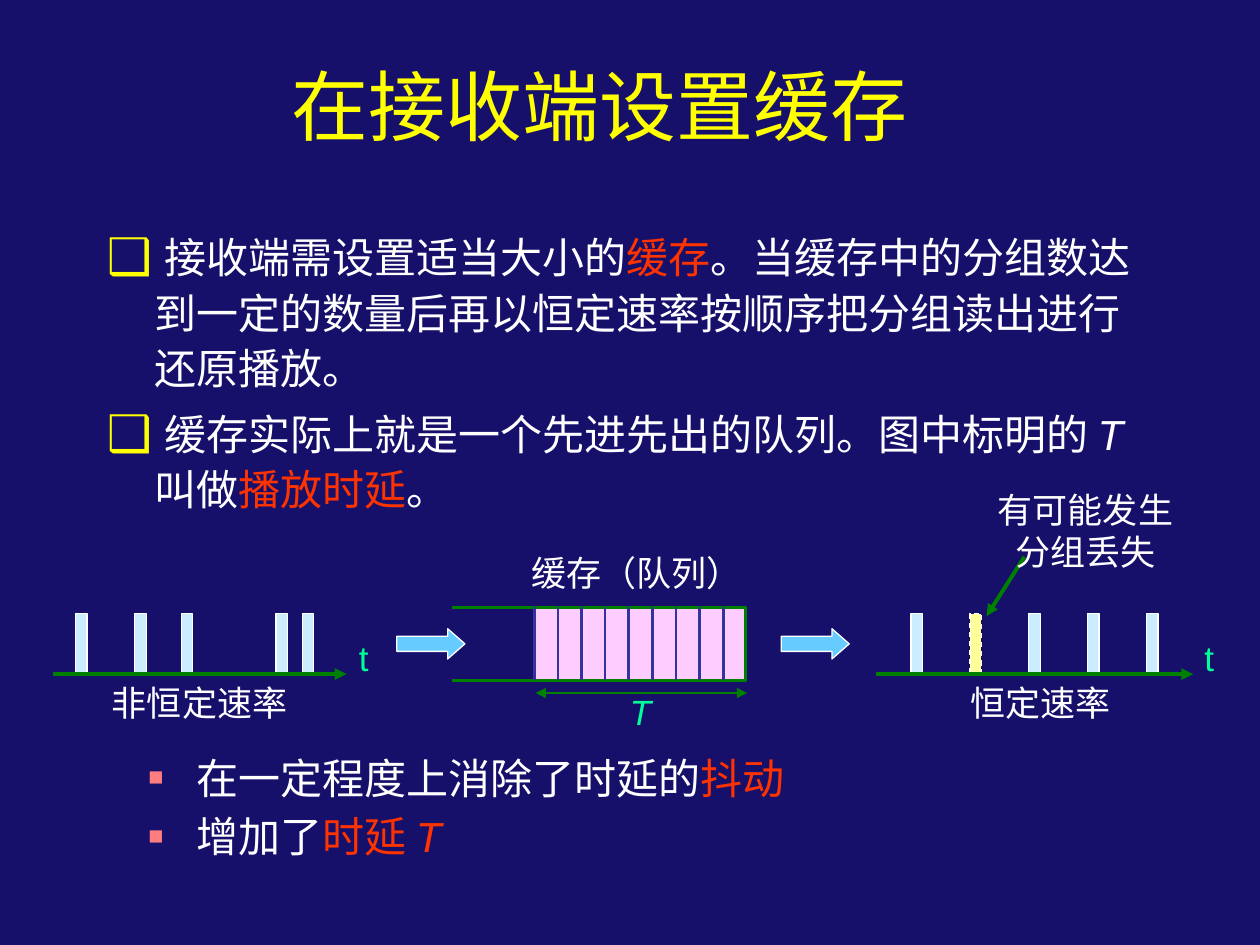
import pptx
import pptx.dml.color
import pptx.enum.dml
import pptx.enum.shapes
import pptx.enum.text
import pptx.oxml.ns
import pptx.util
from lxml import etree
from pptx.util import Inches

rgb = pptx.dml.color.RGBColor.from_string
qn = pptx.oxml.ns.qn
ALIGN = pptx.enum.text.PP_ALIGN
SHAPE = pptx.enum.shapes.MSO_SHAPE
WHITE, RED, GREEN, MINT = "FFFFFF", "FF3300", "008000", "00FF99"
PALE_BLUE, PALE_YELLOW = "CCECFF", "FFFF99"


def write(frame, paragraphs, size, bullet=None, **layout):
    """Fill a text frame; each paragraph is a list of (text, colour, italic)."""
    for index, spans in enumerate(paragraphs):
        para = frame.paragraphs[0] if index == 0 else frame.add_paragraph()
        if bullet:
            char, color, percent = bullet
            props = para._p.get_or_add_pPr()
            props.set("marL", str(Inches(0.38)))
            props.set("indent", str(-Inches(0.38)))
            tint = etree.SubElement(props, qn("a:buClr"))
            etree.SubElement(tint, qn("a:srgbClr"), val=color)
            etree.SubElement(props, qn("a:buSzPct"), val=str(percent * 1000))
            etree.SubElement(props, qn("a:buFont"), typeface="Arial")
            etree.SubElement(props, qn("a:buChar"), char=char)
        for name, value in layout.items():
            if name != "space_before" or index > 0:
                setattr(para, name, value)
        for text, color, italic in spans:
            span = para.add_run()
            span.text = text
            look = {"name": "Arial", "size": pptx.util.Pt(size), "italic": italic}
            for name, value in look.items():
                setattr(span.font, name, value)
            span.font.color.rgb = rgb(color)


def outline(shape, fill, line, width):
    """Give a shape its fill (None for hollow) and line, without a shadow."""
    shape.shadow.inherit = False
    if fill:
        shape.fill.solid()
        shape.fill.fore_color.rgb = rgb(fill)
    else:
        shape.fill.background()
    shape.line.color.rgb = rgb(line)
    shape.line.width = pptx.util.Pt(width)


deck = pptx.Presentation()
deck.slide_width, deck.slide_height = Inches(10), Inches(7.5)
page = deck.slides.add_slide(deck.slide_layouts[5])
page.background.fill.solid()
page.background.fill.fore_color.rgb = rgb("16106B")

# Title
title = page.shapes.title
place = {"left": 0.58, "top": 0.33, "width": 8.5, "height": 1}
for name, value in place.items():
    setattr(title, name, Inches(value))
title.text_frame.vertical_anchor = pptx.enum.text.MSO_ANCHOR.MIDDLE
write(title.text_frame, [[("在接收端设置缓存 ", "FFFF01", False)]], 44,
      alignment=ALIGN.CENTER)

# Bulleted text above and below the diagram
body = page.shapes.add_textbox(Inches(0.75), Inches(1.75), Inches(8.53), Inches(2.57))
body.text_frame.word_wrap = True
write(body.text_frame, [
    [(" 接收端需设置适当大小的", WHITE, False), ("缓存", RED, False),
     ("。当缓存中的分组数达到一定的数量后再以恒定速率按顺序把分组读出进行还原播放。", WHITE, False)],
    [(" 缓存实际上就是一个先进先出的队列。图中标明的 ", WHITE, False),
     ("T ", WHITE, True), ("叫做", WHITE, False),
     ("播放时延", RED, False), ("。", WHITE, False)],
], 24, ("❑", "FFFF00", 120), line_spacing=1.1, space_before=pptx.util.Pt(6))

effects = page.shapes.add_textbox(Inches(1.08), Inches(5.92), Inches(7.75), Inches(0.97))
effects.text_frame.word_wrap = True
write(effects.text_frame, [
    [("在一定程度上消除了时延的", WHITE, False), ("抖动", RED, False)],
    [("增加了", WHITE, False), ("时延 ", RED, False), ("T", RED, True)],
], 24, ("■", "FF7C80", 60), space_before=pptx.util.Pt(4.5))

# Queue of packets and block arrows
queue = page.shapes.add_shape(SHAPE.RECTANGLE, Inches(4.25), Inches(4.83),
                              Inches(1.66), Inches(0.57))
outline(queue, "FFCCFF", GREEN, 0.75)
for left in (3.15, 6.2):
    arrow = page.shapes.add_shape(SHAPE.RIGHT_ARROW, Inches(left), Inches(4.99),
                                  Inches(0.54), Inches(0.24))
    arrow.adjustments[1] = 0.57
    outline(arrow, "66CCFF", WHITE, 0.75)

# Open outlines: buffer, then packets on both time axes
buffer_points = [(3.59, 4.82), (5.92, 4.82), (5.92, 5.4), (3.59, 5.4)]
outlines = [(buffer_points, None, GREEN, 1.5)]
uneven = [0.6, 1.07, 1.44, 2.19, 2.4]
steady = [7.23 + 0.4675 * step for step in range(5)]
for left in uneven + steady:
    right = left + 0.09
    points = [(left, 5.34), (left, 4.87), (right, 4.87), (right, 5.34)]
    fill = PALE_YELLOW if left == steady[1] else PALE_BLUE
    outlines.append((points, fill, WHITE, 0.75))
for points, fill, line, width in outlines:
    corners = [(Inches(x), Inches(y)) for x, y in points]
    builder = page.shapes.build_freeform(*corners[0])
    builder.add_line_segments(corners[1:], close=False)
    shape = builder.convert_to_shape()
    outline(shape, fill, line, width)
    if fill == PALE_YELLOW:
        shape.line.dash_style = pptx.enum.dml.MSO_LINE.DASH

# Straight lines: start, end, colour, width, arrowheads
lines = [
    ((0.42, 5.35), (2.75, 5.35), GREEN, 2.25, ["tailEnd"]),
    ((6.95, 5.35), (9.47, 5.35), GREEN, 2.25, ["tailEnd"]),
    ((8.13, 4.42), (7.83, 4.89), GREEN, 2.25, ["tailEnd"]),
    ((4.25, 5.5), (5.93, 5.5), GREEN, 1.5, ["headEnd", "tailEnd"]),
]
for step in range(9):
    x = 4.24 + 0.1875 * step
    lines.append(((x, 4.82), (x, 5.4), "333399", 1.5, []))
for start, end, color, width, heads in lines:
    line = page.shapes.add_connector(pptx.enum.shapes.MSO_CONNECTOR.STRAIGHT,
                                     *map(Inches, start + end))
    line.line.color.rgb = rgb(color)
    line.line.width = pptx.util.Pt(width)
    for head in heads:
        etree.SubElement(line.line._get_or_add_ln(), qn("a:" + head), type="triangle")
    etree.SubElement(line._element.spPr, qn("a:effectLst"))

# Diagram labels: left, top, width, height, lines, colour, italic
labels = [
    (2.75, 5, 0.27, 0.44, ["t"], MINT, False),
    (9.46, 5, 0.27, 0.44, ["t"], MINT, False),
    (4.9, 5.43, 0.37, 0.44, ["T"], MINT, True),
    (4.12, 4.33, 1.87, 0.44, ["缓存（队列）"], WHITE, False),
    (0.79, 5.36, 1.59, 0.44, ["非恒定速率"], WHITE, False),
    (7.6, 5.36, 1.31, 0.44, ["恒定速率"], WHITE, False),
    (7.82, 3.83, 1.59, 0.77, ["有可能发生", "分组丢失"], WHITE, False),
]
for left, top, width, height, texts, color, italic in labels:
    box = page.shapes.add_textbox(*map(Inches, (left, top, width, height)))
    box.text_frame.word_wrap = False
    write(box.text_frame, [[(text, color, italic)] for text in texts], 20,
          alignment=ALIGN.CENTER if len(texts) > 1 else ALIGN.LEFT)

deck.save("out.pptx")
